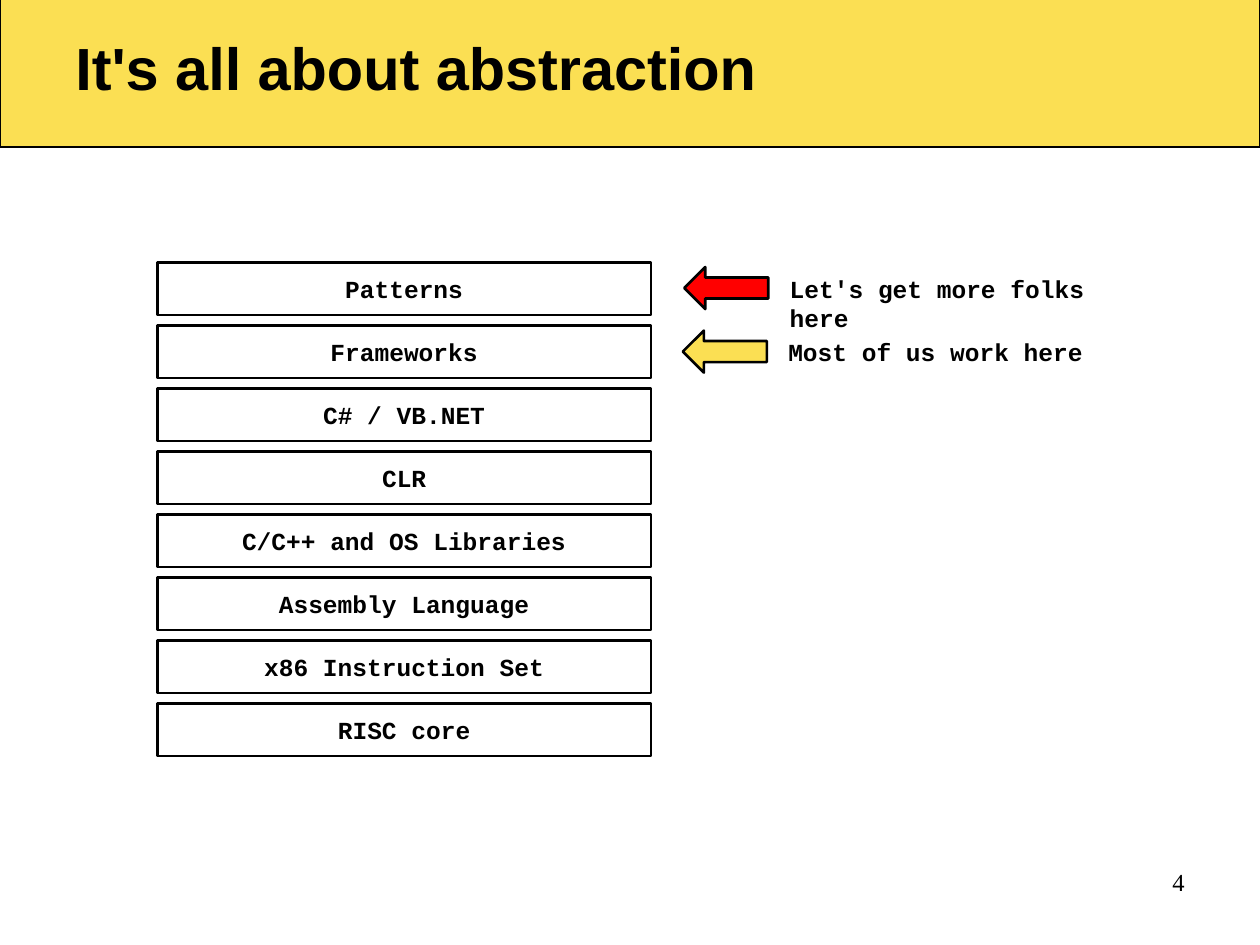
from dataclasses import dataclass

from pptx import Presentation
from pptx.dml.color import RGBColor
from pptx.enum.shapes import MSO_SHAPE
from pptx.enum.text import MSO_ANCHOR, MSO_AUTO_SIZE, PP_ALIGN
from pptx.shapes.autoshape import Shape
from pptx.slide import Slide
from pptx.util import Pt

COLORS = {"ink": "000000", "gold": "FBDF53", "red": "FF0000"}
MONO = "Courier New"

# Stack of layers, in points
LEFT, TOP, WIDTH, HEIGHT, STEP = 90, 150, 282, 30, 36
LAYERS = [
    "Patterns",
    "Frameworks",
    "C# / VB.NET",
    "CLR",
    "C/C++ and OS Libraries",
    "Assembly Language",
    "x86 Instruction Set",
    "RISC core",
]


@dataclass
class Box:
    left: float
    top: float
    width: float
    height: float


@dataclass
class Note:
    text: str
    color: str
    left: float
    top: float
    width: float


NOTES = [
    Note("Most of us work here", "gold", 390.2, 188.9, 183),
    Note("Let's get more folks here", "red", 391, 152.6, 224.6),
]


def hue(name: str) -> RGBColor:
    return RGBColor.from_string(COLORS[name])


def write(shape: Shape, text: str, size: float = 14, face: str = MONO,
          bold: bool = True, align: PP_ALIGN = PP_ALIGN.LEFT,
          anchor: MSO_ANCHOR = MSO_ANCHOR.TOP, wrap: bool = False) -> None:
    frame = shape.text_frame
    frame.word_wrap = wrap
    frame.vertical_anchor = anchor
    para = frame.paragraphs[0]
    para.text = text
    para.alignment = align
    font = para.font
    font.name, font.size, font.bold = face, Pt(size), bold
    font.color.rgb = hue("ink")


def draw(slide: Slide, kind: MSO_SHAPE, box: Box, fill: str = "",
         line: float = 1.5) -> Shape:
    shape = slide.shapes.add_shape(kind, Pt(box.left), Pt(box.top),
                                   Pt(box.width), Pt(box.height))
    shape.shadow.inherit = False
    if fill:
        shape.fill.solid()
        shape.fill.fore_color.rgb = hue(fill)
    else:
        shape.fill.background()
    shape.line.color.rgb = hue("ink")
    shape.line.width = Pt(line)
    return shape


def label(slide: Slide, box: Box) -> Shape:
    return slide.shapes.add_textbox(Pt(box.left), Pt(box.top),
                                    Pt(box.width), Pt(box.height))


def point(slide: Slide, note: Note) -> None:
    draw(slide, MSO_SHAPE.LEFT_ARROW, Box(note.left, note.top, 48, 24), note.color)
    text = label(slide, Box(note.left + 53.2, note.top + 0.3, note.width, 24.2))
    write(text, note.text)
    text.text_frame.auto_size = MSO_AUTO_SIZE.SHAPE_TO_FIT_TEXT


def main() -> None:
    deck = Presentation()
    deck.slide_width, deck.slide_height = Pt(720), Pt(540)
    slide = deck.slides.add_slide(deck.slide_layouts[6])

    # Title band
    draw(slide, MSO_SHAPE.RECTANGLE, Box(0, -6, 720, 90), "gold", 0.75)
    title = label(slide, Box(36, 8, 648, 60))
    write(title, "It's all about abstraction", 34, "Arial",
          anchor=MSO_ANCHOR.MIDDLE, wrap=True)

    # Layers, highest abstraction first
    for row, name in enumerate(LAYERS):
        box = Box(LEFT, TOP + row * STEP, WIDTH, HEIGHT)
        layer = draw(slide, MSO_SHAPE.RECTANGLE, box)
        write(layer, name, align=PP_ALIGN.CENTER, anchor=MSO_ANCHOR.MIDDLE)

    # Arrows with remarks
    for note in NOTES:
        point(slide, note)

    # Page number
    page = label(slide, Box(516, 492, 168, 37.5))
    write(page, "4", face="Times New Roman", bold=False,
          align=PP_ALIGN.RIGHT, wrap=True)

    deck.save("out.pptx")


if __name__ == "__main__":
    main()
